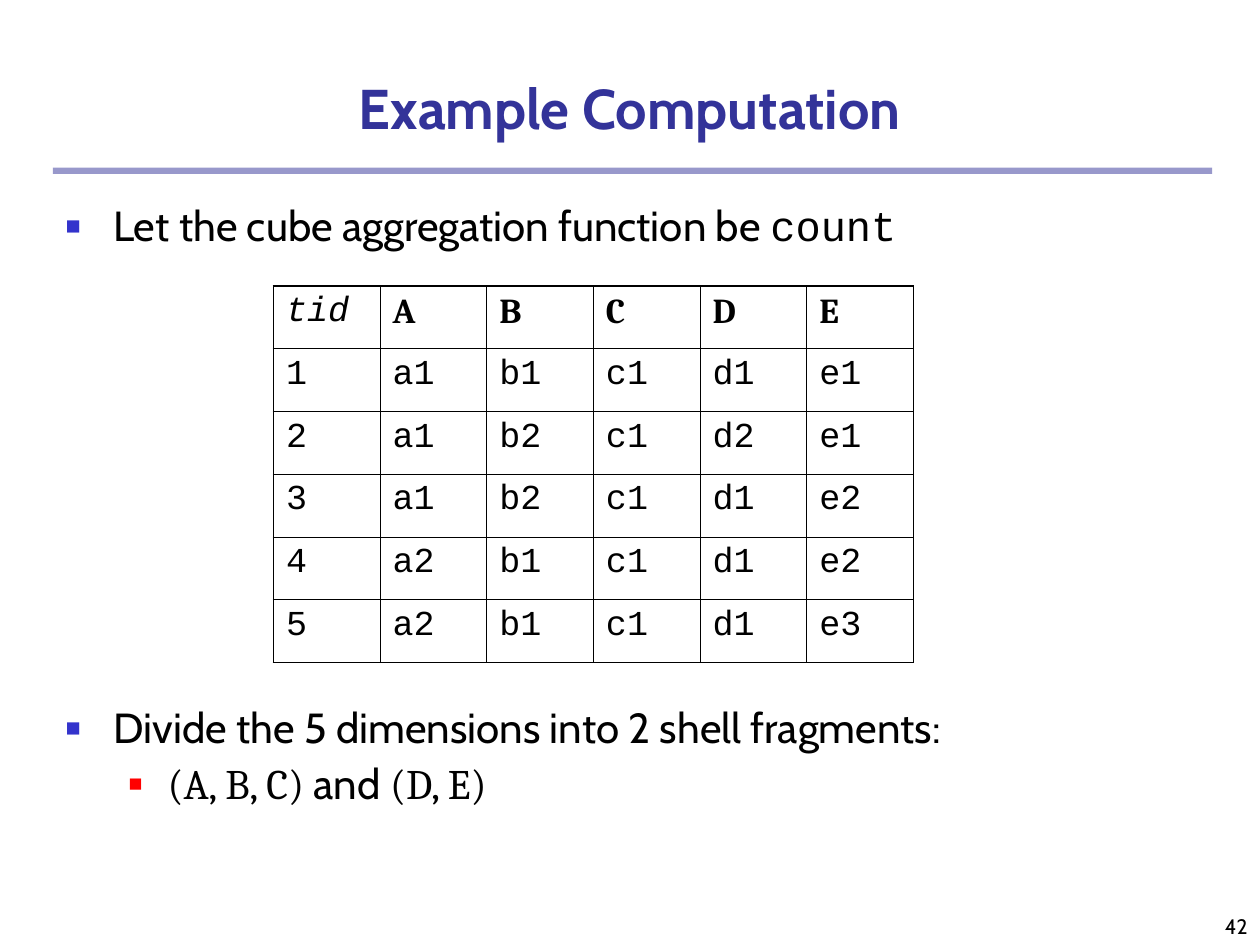
from lxml import etree
from pptx import Presentation
from pptx.dml.color import RGBColor
from pptx.enum.shapes import MSO_SHAPE
from pptx.enum.text import MSO_ANCHOR, MSO_AUTO_SIZE, PP_ALIGN
from pptx.oxml.ns import qn
from pptx.util import Inches, Pt

RECTANGLE = MSO_SHAPE.RECTANGLE
BOTTOM, TOP = MSO_ANCHOR.BOTTOM, MSO_ANCHOR.TOP
CENTER, RIGHT = PP_ALIGN.CENTER, PP_ALIGN.RIGHT
NO_AUTOFIT = MSO_AUTO_SIZE.NONE
SANS, SERIF, MONO = "Cabin", "Cambria", "Courier New"
BLACK, NAVY, BLUE, RED = "000000", "333399", "3333CC", "FF0000"


def add_run(paragraph, text, color=BLACK, **formats):
    run = paragraph.add_run()
    run.text = text
    run.font.color.rgb = RGBColor.from_string(color)
    for attribute, value in formats.items():
        setattr(run.font, attribute, value)


def add_xml(parent, tag, **attributes):
    return etree.SubElement(parent, qn(tag), attributes)


deck = Presentation()
deck.slide_width, deck.slide_height = Inches(10), Inches(7.5)
width, height = deck.slide_width, deck.slide_height
slide = deck.slides.add_slide(deck.slide_layouts[1])
heading, body = slide.shapes.title, slide.placeholders[1]
margin = Inches(0.42)

rule = slide.shapes.add_shape(RECTANGLE, margin, Inches(1.33), Inches(9.2), Inches(0.05))
rule.shadow.inherit = False
rule.fill.solid()
rule.fill.fore_color.rgb = RGBColor.from_string(NAVY)
rule.line.fill.background()
add_xml(rule.fill._xPr.solidFill[0], "a:alpha", val="50000")

page_number = slide.shapes.add_textbox(Inches(7.92), height - Inches(0.5), Inches(2.08), Inches(0.5))

places = [
    (heading, 0, margin, width, Inches(0.75), BOTTOM),
    (body, margin, Inches(1.58), Inches(9.17), Inches(5.5), TOP),
    (page_number, page_number.left, page_number.top, page_number.width, page_number.height, BOTTOM),
]
for box, left, top, box_width, box_height, anchor in places:
    box.left, box.top, box.width, box.height = left, top, box_width, box_height
    frame_format = {"word_wrap": True, "auto_size": NO_AUTOFIT, "vertical_anchor": anchor}
    for attribute, value in frame_format.items():
        setattr(box.text_frame, attribute, value)

captions = [
    (heading, "Example Computation", CENTER, NAVY, 32, True),
    (page_number, "42", RIGHT, BLACK, 12, False),
]
for box, text, alignment, color, size, bold in captions:
    line = box.text_frame.paragraphs[0]
    line.alignment = alignment
    add_run(line, text, color, name=SANS, size=Pt(size), bold=bold)

points = [
    (0, 6, [("Let the cube aggregation function be ", SANS), ("count", MONO)]),
    (0, 261, [("Divide the 5 dimensions into 2 shell fragments:", SANS)]),
    (1, 6, [("(A, B, C)", SERIF), (" and ", SANS), ("(D, E)", SERIF)]),
]
bullet_levels = [(0.38, 0.38, BLUE, 60), (0.81, 0.31, RED, 55)]
for index, (level, space_before, pieces) in enumerate(points):
    point = body.text_frame.add_paragraph() if index else body.text_frame.paragraphs[0]
    point_format = {"level": level, "line_spacing": 0.9, "space_before": Pt(space_before)}
    for attribute, value in point_format.items():
        setattr(point, attribute, value)
    indent, hanging, bullet_color, bullet_share = bullet_levels[level]
    properties = point._p.get_or_add_pPr()
    properties.set("marL", str(Inches(indent)))
    properties.set("indent", str(-Inches(hanging)))
    add_xml(add_xml(properties, "a:buClr"), "a:srgbClr", val=bullet_color)
    add_xml(properties, "a:buSzPct", val=str(bullet_share * 1000))
    add_xml(properties, "a:buChar", char="■")
    for text, font_name in pieces:
        add_run(point, text, name=font_name, size=Pt(24))

records = [
    "tid A B C D E".split(),
    "1 a1 b1 c1 d1 e1".split(),
    "2 a1 b2 c1 d2 e1".split(),
    "3 a1 b2 c1 d1 e2".split(),
    "4 a2 b1 c1 d1 e2".split(),
    "5 a2 b1 c1 d1 e3".split(),
]
last = len(records) - 1
relation = slide.shapes.add_table(
    len(records), len(records[0]), Inches(2.17), Inches(2.27), Inches(5.08), Inches(2.99)
).table
relation.first_row = relation.horz_banding = False

for row, record in enumerate(records):
    for column, text in enumerate(record):
        cell = relation.cell(row, column)
        is_tid, is_dimension = text == "tid", row == 0 and column > 0
        line = cell.text_frame.paragraphs[0]
        line.space_before = Pt(5)
        add_run(line, text, name=SERIF if is_dimension else MONO, size=Pt(20),
                bold=is_dimension, italic=is_tid)
        properties = cell._tc.get_or_add_tcPr()
        outer_edges = {"L": column == 0, "R": column == last, "T": row == 0, "B": row == last}
        for side, is_outer in outer_edges.items():
            border = add_xml(properties, f"a:ln{side}", w=str(Pt(1.08 if is_outer else 0.45)))
            add_xml(add_xml(border, "a:solidFill"), "a:srgbClr", val=BLACK)
        cell.fill.background()

deck.save("out.pptx")
